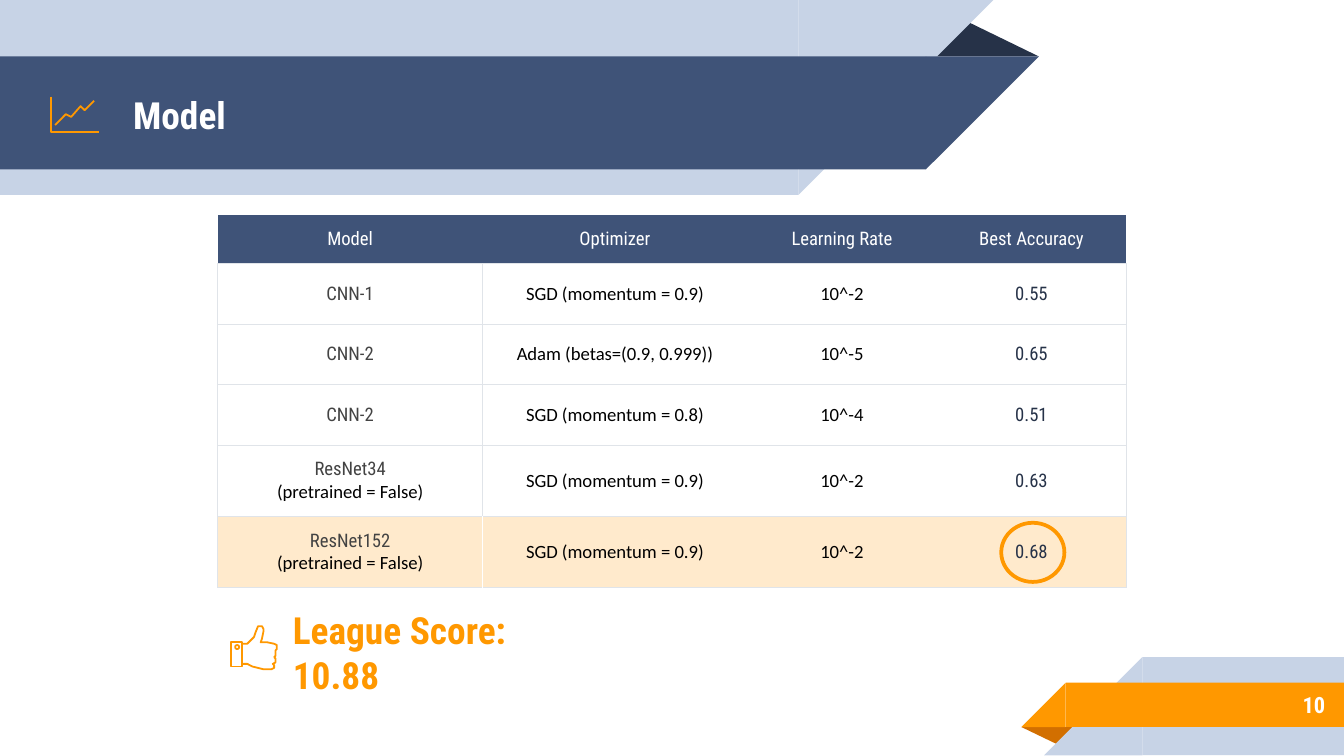
from lxml import etree
from pptx import Presentation
from pptx import util as u
from pptx.dml.color import RGBColor
from pptx.enum import shapes, text
from pptx.oxml.ns import qn

NAVY = RGBColor(0x3F, 0x53, 0x78)
DARK = RGBColor(0x26, 0x32, 0x48)
PALE = RGBColor(0xC7, 0xD3, 0xE6)
ORANGE = RGBColor(0xFF, 0x98, 0x00)
RUST = RGBColor(0xD2, 0x6F, 0x00)
CREAM = RGBColor(0xFF, 0xEA, 0xCC)
RULE = RGBColor(0xE0, 0xE4, 0xE9)
GREY = RGBColor(0x43, 0x43, 0x43)
WHITE = RGBColor(0xFF, 0xFF, 0xFF)
BLACK = RGBColor(0, 0, 0)

HEAD, BODY = "Roboto Condensed", "Calibri"
LEFT, MID, RIGHT = text.PP_ALIGN.LEFT, text.PP_ALIGN.CENTER, text.PP_ALIGN.RIGHT
KIND = shapes.MSO_SHAPE

ROWS = [
    ("Model", "Optimizer", "Learning Rate", "Best Accuracy"),
    ("CNN-1", "SGD (momentum = 0.9)", "10^-2", "0.55"),
    ("CNN-2", "Adam (betas=(0.9, 0.999))", "10^-5", "0.65"),
    ("CNN-2", "SGD (momentum = 0.8)", "10^-4", "0.51"),
    ("ResNet34\n(pretrained = False)", "SGD (momentum = 0.9)", "10^-2", "0.63"),
    ("ResNet152\n(pretrained = False)", "SGD (momentum = 0.9)", "10^-2", "0.68"),
]
WIDTHS = [19.7, 19.7, 14.1, 14.1]
HEIGHTS = [3.6, 4.5, 4.5, 4.5, 5.3, 5.3]
INKS = [(HEAD, GREY), (BODY, BLACK), (BODY, BLACK), (HEAD, DARK)]

THUMB = [
    (18.1, 49.4), (18.4, 49.4), (18.8, 49.6), (19.2, 49.7), (19.6, 49.8),
    (20.2, 49.8), (20.4, 49.7), (20.4, 49.5), (20.3, 49.4), (20.5, 49.3),
    (20.5, 49), (20.4, 48.9), (20.5, 48.8), (20.5, 48.5), (20.5, 48.4),
    (20.6, 48.3), (20.6, 48), (20.4, 47.9), (19.9, 47.8), (19.4, 47.8),
    (19.5, 47.5), (19.6, 47), (19.6, 46.8), (19.5, 46.6), (19.2, 46.6),
    (19, 47.1), (18.9, 47.4), (18.6, 47.7), (18.4, 47.9), (18.1, 47.9),
]


def cell(n):
    """Length of n grid cells; a cell is a tenth of an inch."""
    return u.Inches(n / 10)


class Deck:
    def __init__(self, cols, rows):
        self.file = Presentation()
        self.file.slide_width, self.file.slide_height = cell(cols), cell(rows)
        self.slide = self.file.slides.add_slide(self.file.slide_layouts[5])
        self.items = self.slide.shapes

    def shape(self, kind, box, fill=None, line=None, width=1, turn=0, flip=False):
        item = self.items.add_shape(kind, *map(cell, box))
        item.shadow.inherit = False
        item.rotation = turn
        if flip:
            item._element.spPr.find(qn("a:xfrm")).set("flipH", "1")
        self.paint(item, fill, line, width)
        return item

    def paint(self, item, fill, line, width):
        if fill is None:
            item.fill.background()
        else:
            item.fill.solid()
            item.fill.fore_color.rgb = fill
        if line is None:
            item.line.fill.background()
        else:
            item.line.color.rgb = line
            item.line.width = u.Pt(width)

    def fold(self, box, fill, turn=0):
        self.shape(KIND.ISOSCELES_TRIANGLE, box, fill, turn=turn).adjustments[0] = 0.324

    def band(self, x, y, wide, high, fill, turn=0):
        """Bar with a slanted end: at its right when turned, else at its left."""
        bar, tip = (x, x + wide) if turn else (x + high, x)
        self.shape(KIND.RECTANGLE, (bar, y, wide, high), fill, turn=turn, flip=True)
        self.shape(KIND.RIGHT_TRIANGLE, (tip, y, high, high), fill, turn=turn, flip=True)

    def trace(self, points, close=False):
        first, *rest = [(cell(x), cell(y)) for x, y in points]
        pen = self.items.build_freeform(*first)
        pen.add_line_segments(rest, close=close)
        item = pen.convert_to_shape()
        item.shadow.inherit = False
        self.paint(item, None, ORANGE, 0.96)

    def style(self, para, size, face, ink, bold=False, align=LEFT):
        para.alignment = align
        font = para.font
        font.size, font.name, font.bold = u.Pt(size), face, bold
        font.color.rgb = ink

    def title(self, words, box):
        item = self.items.title
        item.left, item.top, item.width, item.height = map(cell, box)
        self.items._spTree.append(item._element)  # in front of the bands
        self.fill(item.text_frame, words, 20, WHITE)

    def label(self, words, box, size, ink, align=LEFT):
        item = self.items.add_textbox(*map(cell, box))
        self.fill(item.text_frame, words, size, ink, align)
        return item.text_frame

    def fill(self, frame, words, size, ink, align=LEFT):
        frame.word_wrap = True
        frame.auto_size = text.MSO_AUTO_SIZE.NONE
        frame.vertical_anchor = text.MSO_ANCHOR.MIDDLE
        frame.margin_left = frame.margin_right = cell(1)
        frame.margin_top = frame.margin_bottom = cell(1)
        frame.text = words
        self.style(frame.paragraphs[0], size, HEAD, ink, True, align)

    def edges(self, box, inks):
        """Draw the left, right, top and bottom borders; None hides one."""
        props = box._tc.get_or_add_tcPr()
        for side, ink in zip("LRTB", inks):
            line = etree.SubElement(props, qn("a:ln" + side), w=str(u.Pt(0.75)))
            if ink is None:
                etree.SubElement(line, qn("a:noFill"))
            else:
                solid = etree.SubElement(line, qn("a:solidFill"))
                etree.SubElement(solid, qn("a:srgbClr"), val=str(ink))

    def table(self, x, y):
        size = cell(sum(WIDTHS)), cell(sum(HEIGHTS))
        grid = self.items.add_table(len(ROWS), len(WIDTHS), cell(x), cell(y), *size).table
        grid.first_row = grid.horz_banding = False
        for col, wide in zip(grid.columns, WIDTHS):
            col.width = cell(wide)
        last = len(ROWS) - 1
        for r, words in enumerate(ROWS):
            grid.rows[r].height = cell(HEIGHTS[r])
            split = WHITE if r == last else RULE
            for c, word in enumerate(words):
                box = grid.cell(r, c)
                if r == 0:
                    self.edges(box, (None, None, None, RULE))
                else:
                    left = {0: RULE, 1: split}.get(c)
                    right = {0: split, 3: RULE}.get(c)
                    self.edges(box, (left, right, RULE, RULE))
                if r in (0, last):
                    box.fill.solid()
                    box.fill.fore_color.rgb = CREAM if r else NAVY
                else:
                    box.fill.background()
                box.margin_left = box.margin_right = cell(1)
                box.margin_top = box.margin_bottom = cell(1)
                box.vertical_anchor = text.MSO_ANCHOR.MIDDLE
                box.text_frame.text = word
                for n, para in enumerate(box.text_frame.paragraphs):
                    face, ink = (HEAD, WHITE) if r == 0 else INKS[c + n]
                    self.style(para, 10, face, ink, align=MID)


def main():
    deck = Deck(100, 56.25)
    deck.fold((68.8, 1.4, 8.5, 2.8), DARK)
    deck.band(0, 0, 59.4, 14.5, PALE, turn=180)
    deck.band(0, 4.2, 68.9, 8.4, NAVY, turn=180)
    deck.fold((76, 54.1, 4.3, 1.4), RUST, turn=180)
    deck.band(77.7, 48.9, 15, 7.3, PALE)
    deck.band(76, 50.8, 20.8, 3.3, ORANGE)
    deck.title("Model", (8.9, 4.3, 57.5, 8.4))
    deck.label("10", (83.3, 50.7, 16.3, 3.5), 12, WHITE, RIGHT)

    deck.table(16.2, 16)
    deck.shape(KIND.OVAL, (74.5, 38.9, 4.7, 4.4), line=ORANGE, width=2)

    deck.trace([(17.2, 47.8), (17.2, 49.6), (18, 49.6), (18, 47.8)], close=True)
    deck.shape(KIND.OVAL, (17.5, 48, 0.3, 0.3), line=ORANGE, width=0.96)
    deck.trace(THUMB)
    score = deck.label("League Score: 10.88", (20.8, 46.3, 24.8, 4.4), 20, ORANGE)
    score.word_wrap = False
    score.auto_size = text.MSO_AUTO_SIZE.SHAPE_TO_FIT_TEXT
    score.margin_top = score.margin_bottom = cell(0.5)

    deck.trace([(3.8, 7.2), (3.8, 9.8), (7.4, 9.8)])
    deck.trace([(4.1, 9.3), (4.9, 8.5), (5.3, 8.7), (6, 7.9), (6.3, 8.2), (7, 7.5)])
    deck.file.save("out.pptx")


if __name__ == "__main__":
    main()
